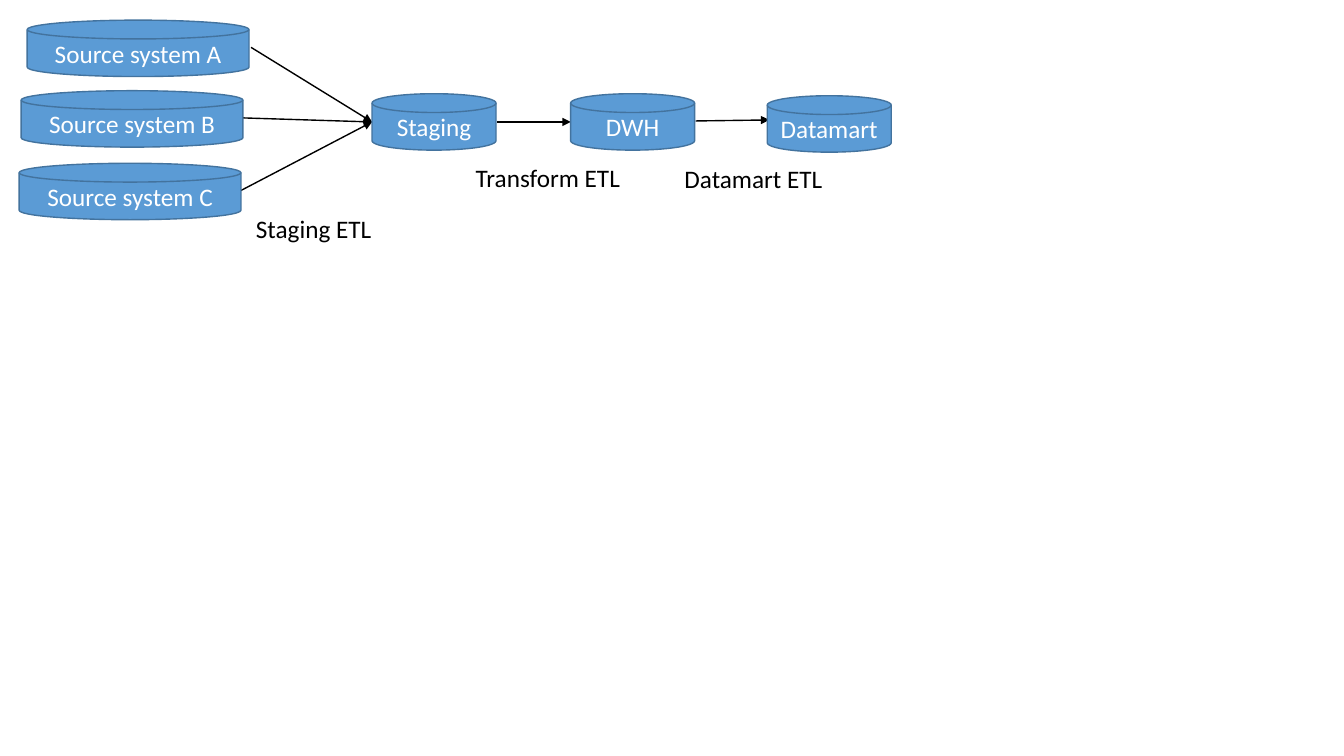
"""Build a slide of a data warehouse flow from source systems to datamart."""
from lxml import etree
from pptx import Presentation
from pptx import util as u
from pptx.dml.color import RGBColor
from pptx.enum import shapes, text
from pptx.oxml.ns import qn

THEME = {"font": "Calibri", "size": 18, "line": 1, "fill": "5B9BD5",
         "edge": "43739E", "light": "FFFFFF", "dark": "000000"}

WIDE, SLIM, HIGH = 2.2, 1.23, 0.56
DISKS = [
    ("Source system A", 0.27, 0.2, WIDE),
    ("Source system B", 0.21, 0.9, WIDE),
    ("Source system C", 0.19, 1.62, WIDE),
    ("Staging", 3.69, 0.93, SLIM),
    ("DWH", 5.66, 0.93, SLIM),
    ("Datamart", 7.61, 0.95, SLIM),
]
ENTRY = (3.69, 1.21)
ARROWS = [
    ((2.49, 0.47), ENTRY),
    ((2.41, 1.17), ENTRY),
    ((2.39, 1.89), ENTRY),
    ((4.93, 1.21), (5.66, 1.21)),
    ((6.9, 1.2), (7.63, 1.19)),
]
LABELS = [
    ("Staging ETL", 2.44, 2.07, 1.36),
    ("Transform ETL", 4.62, 1.56, 1.65),
    ("Datamart ETL", 6.69, 1.57, 1.58),
]


def color(name):
    return RGBColor.from_string(THEME[name])


def write(shape, words, tone, align):
    para = shape.text_frame.paragraphs[0]
    para.alignment = align
    run = para.add_run()
    run.text = words
    run.font.name = THEME["font"]
    run.font.size = u.Pt(THEME["size"])
    run.font.color.rgb = color(tone)


def outline(shape, tone):
    shape.line.color.rgb = color(tone)
    shape.line.width = u.Pt(THEME["line"])


def add_arrow(slide, start, end):
    ends = [u.Inches(n) for n in start + end]
    arrow = slide.shapes.add_connector(shapes.MSO_CONNECTOR.STRAIGHT, *ends)
    outline(arrow, "dark")
    tip = etree.SubElement(arrow.line._get_or_add_ln(), qn("a:tailEnd"))
    tip.set("type", "triangle")
    etree.SubElement(arrow._element.spPr, qn("a:effectLst"))


def add_disk(slide, words, left, top, width):
    box = [u.Inches(n) for n in (left, top, width, HIGH)]
    disk = slide.shapes.add_shape(
        shapes.MSO_SHAPE.FLOWCHART_MAGNETIC_DISK, *box)
    disk.shadow.inherit = False
    disk.fill.solid()
    disk.fill.fore_color.rgb = color("fill")
    outline(disk, "edge")
    disk.text_frame.vertical_anchor = text.MSO_ANCHOR.MIDDLE
    write(disk, words, "light", text.PP_ALIGN.CENTER)


def add_label(slide, words, left, top, width):
    box = [u.Inches(n) for n in (left, top, width, 0.4)]
    label = slide.shapes.add_textbox(*box)
    label.text_frame.word_wrap = False
    label.text_frame.auto_size = text.MSO_AUTO_SIZE.SHAPE_TO_FIT_TEXT
    write(label, words, "dark", text.PP_ALIGN.LEFT)


def main():
    deck = Presentation()
    deck.slide_width, deck.slide_height = u.Inches(13.33), u.Inches(7.5)
    slide = deck.slides.add_slide(deck.slide_layouts[6])
    for add, rows in ((add_arrow, ARROWS), (add_disk, DISKS),
                      (add_label, LABELS)):
        for row in rows:
            add(slide, *row)
    deck.save("out.pptx")


if __name__ == "__main__":
    main()
